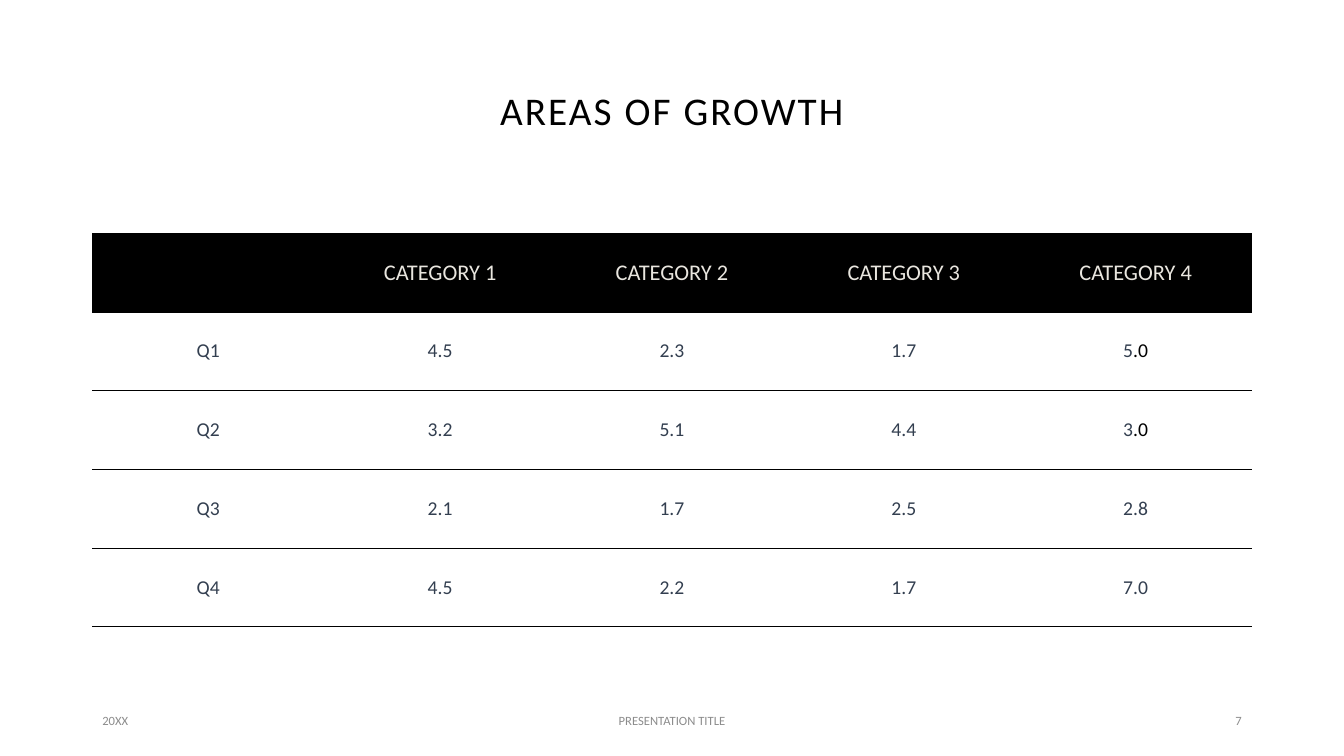
from lxml import etree
from pptx import Presentation
from pptx.dml.color import RGBColor
from pptx.enum.text import MSO_ANCHOR, PP_ALIGN
from pptx.oxml.ns import qn
from pptx.util import Pt

PX = 9525  # EMU per px, 96 px to the inch
LEFT, MID, RIGHT = PP_ALIGN.LEFT, PP_ALIGN.CENTER, PP_ALIGN.RIGHT
MIDDLE = MSO_ANCHOR.MIDDLE
FONT = "Calibri"
COLORS = {"black": "000000", "white": "FFFFFF", "cream": "E9E6DF",
          "slate": "333F50", "gray": "8C8C8C"}

HEADS = ["", "CATEGORY 1", "CATEGORY 2", "CATEGORY 3", "CATEGORY 4"]
ROWS = [
    ["Q1", "4.5", "2.3", "1.7", ("5", ".0")],
    ["Q2", "3.2", "5.1", "4.4", ("3", ".0")],
    ["Q3", "2.1", "1.7", "2.5", "2.8"],
    ["Q4", "4.5", "2.2", "1.7", "7.0"],
]


def emu(*sizes):
    return [size * PX for size in sizes]


def rgb(name):
    return RGBColor.from_string(COLORS[name])


def write(frame, text, size, color, align=MID, track=0, lead=None):
    """Fill the first paragraph; the second part of a pair is black."""
    para = frame.paragraphs[0]
    para.alignment = align
    para.line_spacing = lead
    parts = text if isinstance(text, tuple) else (text,)
    for part, tint in zip(parts, (color, "black")):
        run = para.add_run()
        run.text = part
        run.font.name = FONT
        run.font.size = Pt(size)
        run.font.bold = False
        run.font.color.rgb = rgb(tint)
        if track:
            run.font._element.set("spc", str(track))


def edge(cell, side, color=None, width=0.5):
    """Draw one cell border, or clear it when no color is given."""
    props = cell._tc.get_or_add_tcPr()
    line = etree.SubElement(props, qn("a:ln" + side), w=str(Pt(width)))
    if color:
        fill = etree.SubElement(line, qn("a:solidFill"))
        etree.SubElement(fill, qn("a:srgbClr"), val=COLORS[color])
    else:
        etree.SubElement(line, qn("a:noFill"))


def add_title(slide, text, box):
    title = slide.shapes.title
    title.left, title.top, title.width, title.height = emu(*box)
    title.text_frame.vertical_anchor = MIDDLE
    write(title.text_frame, text, 28, "black", track=150, lead=0.9)


def add_grid(slide, heads, rows, box):
    data = [heads] + rows
    grid = slide.shapes.add_table(len(data), len(heads), *emu(*box)).table
    grid.first_row = grid.horz_banding = False
    for row, texts in enumerate(data):
        top = row == 0
        for col, text in enumerate(texts):
            cell = grid.cell(row, col)
            cell.vertical_anchor = MIDDLE
            # Rules run across only, heavier under the heads
            edge(cell, "L")
            edge(cell, "R")
            edge(cell, "T", "black", 1.5 if row == 1 else 0.5)
            edge(cell, "B", "black", 1.5 if top else 0.5)
            cell.fill.solid()
            cell.fill.fore_color.rgb = rgb("black" if top else "white")
            if text:
                write(cell.text_frame, text, 16 if top else 14,
                      "cream" if top else "slate")


def add_foot(slide, date, name, page, box):
    left, top, width, height = box
    side, mid = 288, 432
    parts = [(date, left, side, LEFT),
             (name, left + (width - mid) // 2, mid, MID),
             (page, left + width - side, side, RIGHT)]
    for text, x, wide, align in parts:
        note = slide.shapes.add_textbox(*emu(x, top, wide, height))
        note.text_frame.word_wrap = True
        note.text_frame.vertical_anchor = MIDDLE
        write(note.text_frame, text, 9, "gray", align)


def main():
    deck = Presentation()
    deck.slide_width, deck.slide_height = emu(1280, 720)
    slide = deck.slides.add_slide(deck.slide_layouts[5])  # title only
    left, width = 88, 1104

    # Title
    add_title(slide, "AREAS OF GROWTH", (left, 38, width, 139))
    # Table
    add_grid(slide, HEADS, ROWS, (left, 222, width, 375))
    # Footer
    add_foot(slide, "20XX", "PRESENTATION TITLE", "7", (left, 667, width, 38))
    deck.save("out.pptx")


if __name__ == "__main__":
    main()
